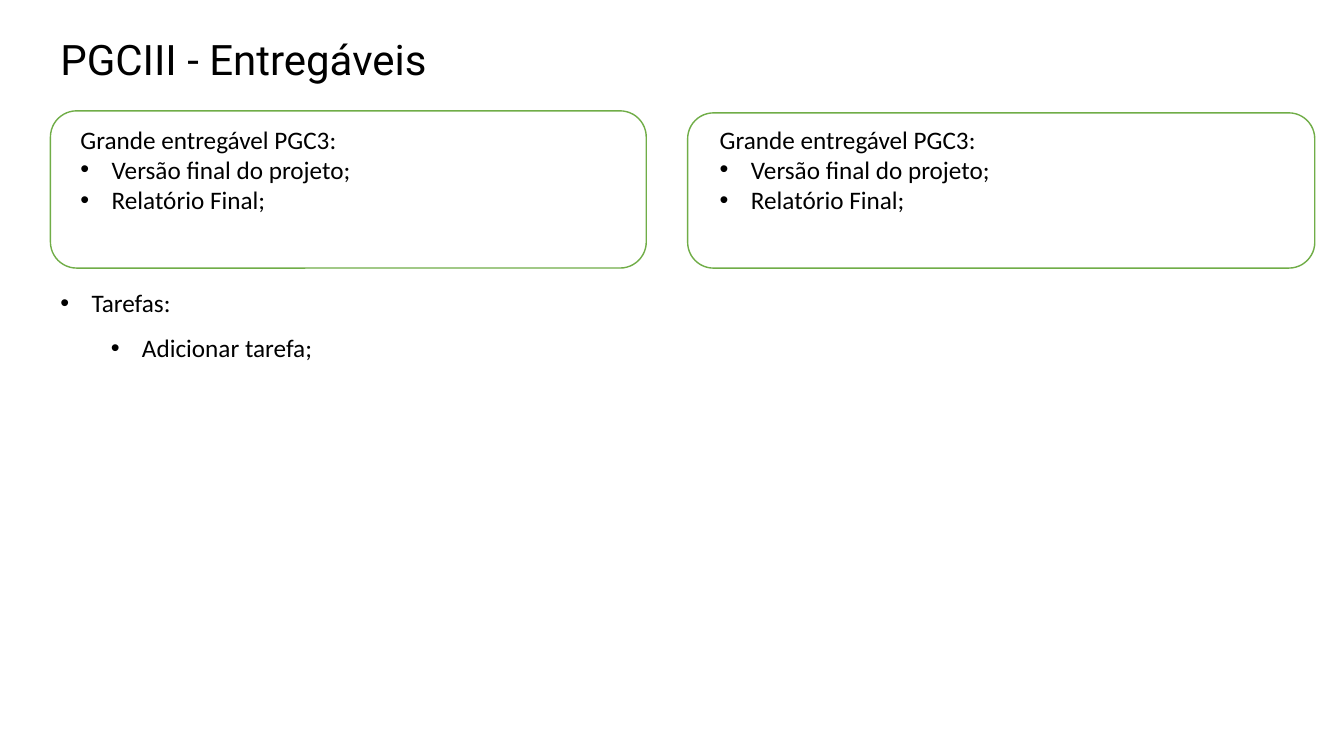
import dataclasses

import lxml.etree
import pptx
import pptx.dml.color
import pptx.enum.shapes
import pptx.enum.text
import pptx.oxml.ns
import pptx.util

Inches = pptx.util.Inches
STEP = 0.31  # hanging indent of a bullet


@dataclasses.dataclass
class Line:
    text: str
    level: int = 0
    indent: float = 0  # left margin of a bulleted line; 0 means no bullet


@dataclasses.dataclass
class Card:
    left: float
    top: float
    width: float
    height: float
    inner: float  # left edge of the text


GOALS = [
    Line("Grande entregável PGC3:"),
    Line("Versão final do projeto;", indent=STEP),
    Line("Relatório Final;", indent=STEP),
]
TASKS = [
    Line("Tarefas:", indent=STEP),
    Line("Adicionar tarefa;", level=1, indent=0.5 + STEP),
]
CARDS = [
    Card(0.5, 1.1, 5.91, 1.56, 0.7),
    Card(6.82, 1.12, 6.22, 1.54, 7.04),
]


def color(code: str) -> pptx.dml.color.RGBColor:
    return pptx.dml.color.RGBColor.from_string(code)


def bullet(para, indent: float) -> None:
    props = para._p.get_or_add_pPr()
    props.set("marL", str(Inches(indent)))
    props.set("indent", str(-Inches(STEP)))
    qn = pptx.oxml.ns.qn
    lxml.etree.SubElement(props, qn("a:buFont"), typeface="Arial")
    lxml.etree.SubElement(props, qn("a:buChar"), char="•")


def write(slide, lines: list[Line], *, left: float, top: float, width: float,
          height: float, font: str = "Calibri", size: float = 18,
          space: float = 1.0) -> None:
    box = slide.shapes.add_textbox(
        Inches(left), Inches(top), Inches(width), Inches(height))
    frame = box.text_frame
    frame.word_wrap = True
    frame.vertical_anchor = pptx.enum.text.MSO_ANCHOR.TOP
    for i, line in enumerate(lines):
        para = frame.add_paragraph() if i else frame.paragraphs[0]
        para.level = line.level
        para.line_spacing = space
        if line.indent:
            bullet(para, line.indent)
        run = para.add_run()
        run.text = line.text
        run.font.name = font
        run.font.size = pptx.util.Pt(size)
        run.font.color.rgb = color("000000")


def draw(slide, card: Card) -> None:
    shape = slide.shapes.add_shape(
        pptx.enum.shapes.MSO_SHAPE.ROUNDED_RECTANGLE,
        Inches(card.left), Inches(card.top),
        Inches(card.width), Inches(card.height))
    shape.shadow.inherit = False
    shape.fill.solid()
    shape.fill.fore_color.rgb = color("FFFFFF")
    shape.line.color.rgb = color("70AD47")
    shape.line.width = pptx.util.Pt(1)


def main() -> None:
    deck = pptx.Presentation()
    deck.slide_width = Inches(13.33)
    deck.slide_height = Inches(7.5)
    slide = deck.slides.add_slide(deck.slide_layouts[6])

    # Title and tasks
    write(slide, [Line("PGCIII - Entregáveis")], left=0.5, top=0.28,
          width=11.81, height=0.61, font="Roboto", size=30)
    write(slide, TASKS, left=0.5, top=2.65, width=12.72, height=2.78,
          space=1.5)

    # Deliverable cards
    for card in CARDS:
        draw(slide, card)
        write(slide, GOALS, left=card.inner, top=1.18, width=5.26,
              height=1.31)

    deck.save("out.pptx")


if __name__ == "__main__":
    main()
